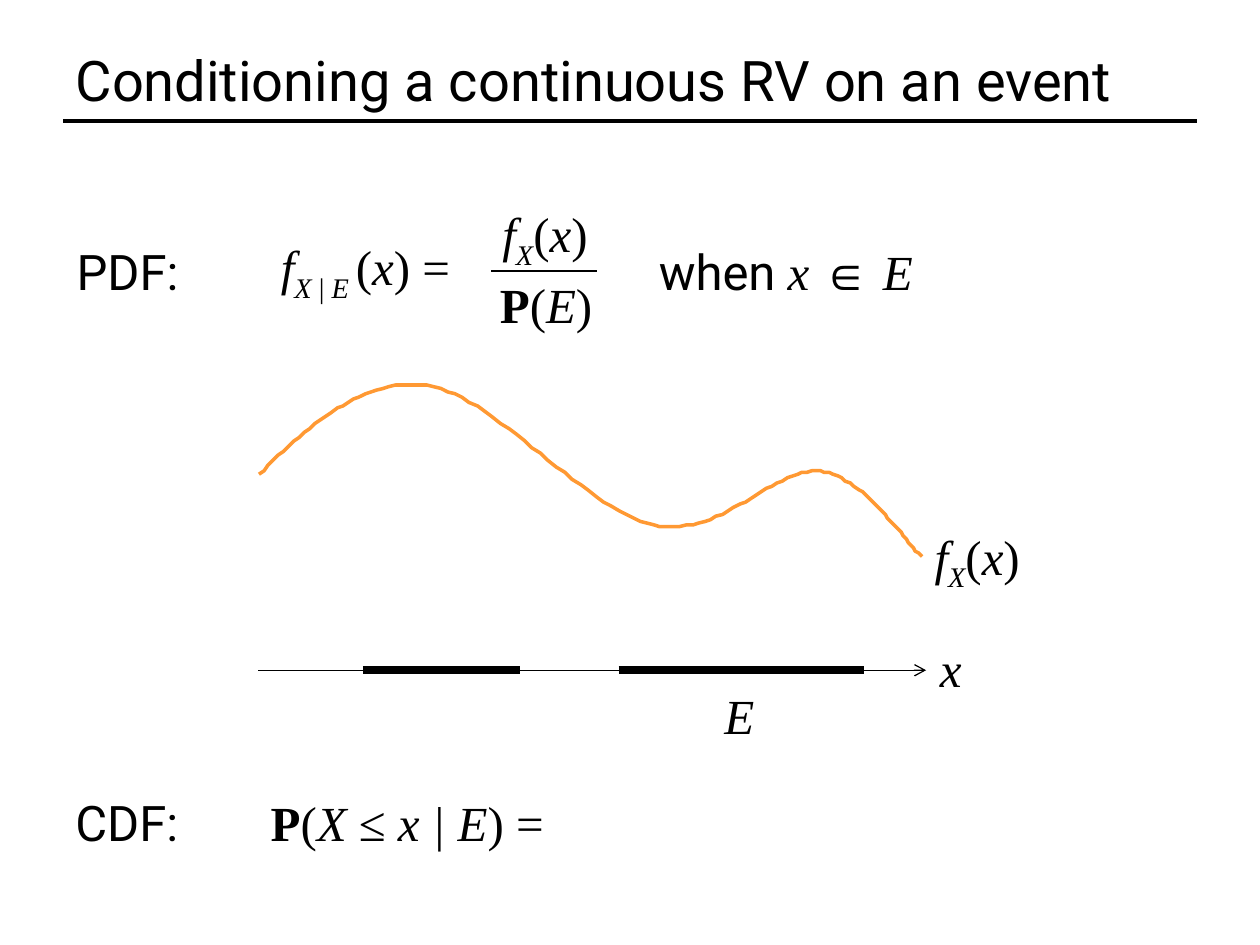
from pptx import Presentation
from pptx.dml.color import RGBColor
from pptx.enum.shapes import MSO_CONNECTOR as Connector
from pptx.enum.text import MSO_ANCHOR as Anchor, PP_ALIGN as Align
from pptx.oxml.ns import qn
from pptx.util import Pt
from lxml.etree import SubElement

BLACK, ORANGE = "000000", "FF9933"
SANS, SERIF = "Roboto", "Times New Roman"
TEXT_SIZE, TEXT_HEIGHT = 28, 41
AXIS_LEFT, AXIS_RIGHT, AXIS_Y = 147.6, 529.2, 383

DENSITY = [("f", "i"), ("X", "is"), ("(", ""), ("x", "i"), (")", "")]
CONDITIONAL_DENSITY = [("f", "i"), ("X", "is"), (" | ", "s"), ("E ", "is"),
                       ("(", ""), ("x", "i"), (") =", "")]
EVENT_PROBABILITY = [("P", "b"), ("(", ""), ("E", "i"), (")", "")]
CONDITION = [("when ", "r"), ("x", "i"), (" ∈ ", ""), ("E", "i")]
CONDITIONAL_CDF = [("P", "b"), ("(", ""), ("X ", "i"), ("≤", ""),
                   (" x | E", "i"), (") =", "")]

CURVE_START = (147.6, 271.4)
CURVE_SEGMENTS = [
    ((177.1, 243.4), (205.9, 215.3), (244.1, 220.3)),
    ((281.5, 225.4), (336.2, 292.3), (373.7, 300.2)),
    ((411.1, 308.2), (443.5, 266.4), (468.7, 269.3)),
    ((493.9, 272.2), (517, 309.6), (526.7, 318.2)),
]


def color(hex_string):
    return RGBColor.from_string(hex_string)


def format_font(font, name, size):
    font.name = name
    font.size = Pt(size)
    font.color.rgb = color(BLACK)


def add_title(slide, text):
    title = slide.shapes.title
    title.left, title.top, title.width, title.height = Pt(36), Pt(21.6), Pt(648), Pt(47.5)
    frame = title.text_frame
    frame.text = text
    frame.vertical_anchor = Anchor.MIDDLE
    paragraph = frame.paragraphs[0]
    paragraph.alignment = Align.LEFT
    format_font(paragraph.runs[0].font, SANS, 32)


def add_text(slide, left, top, width, parts, wrap=False):
    """Add one line of (text, style) parts: b bold, i italic, s subscript, r sans."""
    box = slide.shapes.add_textbox(Pt(left), Pt(top), Pt(width), Pt(TEXT_HEIGHT))
    box.text_frame.word_wrap = wrap
    paragraph = box.text_frame.paragraphs[0]
    for text, style in parts:
        run = paragraph.add_run()
        run.text = text
        format_font(run.font, SANS if "r" in style else SERIF, TEXT_SIZE)
        run.font.bold = "b" in style
        run.font.italic = "i" in style
        if "s" in style:
            run.font._element.set("baseline", "-25000")


def add_horizontal_line(slide, left, right, y, weight, arrow=False):
    line = slide.shapes.add_connector(Connector.STRAIGHT, Pt(left), Pt(y), Pt(right), Pt(y))
    line.line.color.rgb = color(BLACK)
    line.line.width = Pt(weight)
    if arrow:
        SubElement(line.line._get_or_add_ln(), qn("a:tailEnd"), type="arrow")
    SubElement(line._element.spPr, qn("a:effectLst"))


def bezier_point(points, t):
    weights = ((1 - t) ** 3, 3 * t * (1 - t) ** 2, 3 * t ** 2 * (1 - t), t ** 3)
    return tuple(sum(w * point[axis] for w, point in zip(weights, points))
                 for axis in (0, 1))


def add_curve(slide, start, segments, steps=30):
    """Draw a chain of cubic Bezier segments as one open, finely stepped outline."""
    vertices, current = [], start
    for segment in segments:
        vertices += [bezier_point((current, *segment), step / steps)
                     for step in range(1, steps + 1)]
        current = segment[-1]
    builder = slide.shapes.build_freeform(*start, scale=float(Pt(1)))
    builder.add_line_segments(vertices, close=False)
    curve = builder.convert_to_shape()
    curve.fill.background()
    curve.line.color.rgb = color(ORANGE)
    curve.line.width = Pt(2)
    curve.shadow.inherit = False


def add_pdf_row(slide):
    add_text(slide, 36.7, 134.6, 88, [("PDF:", "r")], wrap=True)
    add_text(slide, 153.4, 131.8, 134.6, CONDITIONAL_DENSITY)
    add_text(slide, 280, 113, 72, DENSITY)
    add_horizontal_line(slide, 280.8, 341.3, 154.8, 0.75)
    add_text(slide, 278.6, 153.4, 75, EVENT_PROBABILITY)
    add_text(slide, 369.4, 134.6, 160, CONDITION, wrap=True)


def add_density_plot(slide):
    add_curve(slide, CURVE_START, CURVE_SEGMENTS)
    add_text(slide, 527, 297.4, 72, DENSITY)
    add_horizontal_line(slide, AXIS_LEFT, AXIS_RIGHT, AXIS_Y, 0.75, arrow=True)
    for left, right in ((207.4, 297.4), (353.5, 493.9)):
        add_horizontal_line(slide, left, right, AXIS_Y, 4.5)
    add_text(slide, 406.8, 388, 33.8, [("E", "i")])
    add_text(slide, 530, 361.4, 28.8, [("x", "i")])


def add_cdf_row(slide):
    add_text(slide, 36, 449.3, 88, [("CDF:", "r")], wrap=True)
    add_text(slide, 147.6, 449.3, 197.3, CONDITIONAL_CDF)


def main():
    presentation = Presentation()
    presentation.slide_width, presentation.slide_height = Pt(720), Pt(540)
    slide = presentation.slides.add_slide(presentation.slide_layouts.get_by_name("Title Only"))
    add_title(slide, "Conditioning a continuous RV on an event")
    add_horizontal_line(slide, 36, 684, 69.1, 2)
    add_pdf_row(slide)
    add_density_plot(slide)
    add_cdf_row(slide)
    presentation.save("out.pptx")


if __name__ == "__main__":
    main()
